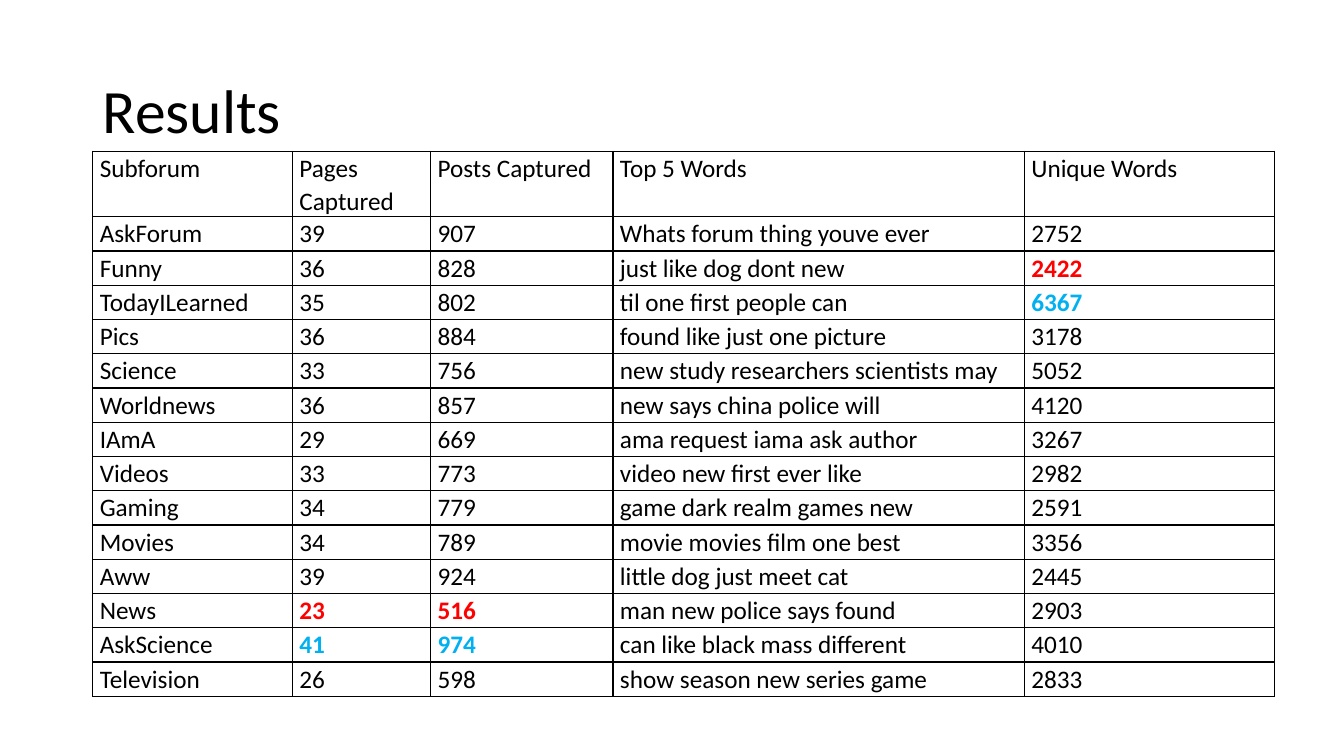
from lxml.etree import SubElement as add_node
from pptx import Presentation
from pptx.dml.color import RGBColor
from pptx.enum.text import MSO_ANCHOR as Anchor
from pptx.oxml.ns import qn
from pptx.util import Inches, Pt

BLACK = RGBColor(0x00, 0x00, 0x00)
RED = RGBColor(0xFF, 0x00, 0x00)
BLUE = RGBColor(0x00, 0xB0, 0xF0)

HEADINGS = ("Subforum", "Pages Captured", "Posts Captured", "Top 5 Words", "Unique Words")
RESULTS = (
    ("AskForum", 39, 907, "Whats forum thing youve ever", 2752),
    ("Funny", 36, 828, "just like dog dont new", 2422),
    ("TodayILearned", 35, 802, "til one first people can", 6367),
    ("Pics", 36, 884, "found like just one picture", 3178),
    ("Science", 33, 756, "new study researchers scientists may", 5052),
    ("Worldnews", 36, 857, "new says china police will", 4120),
    ("IAmA", 29, 669, "ama request iama ask author", 3267),
    ("Videos", 33, 773, "video new first ever like", 2982),
    ("Gaming", 34, 779, "game dark realm games new", 2591),
    ("Movies", 34, 789, "movie movies film one best", 3356),
    ("Aww", 39, 924, "little dog just meet cat", 2445),
    ("News", 23, 516, "man new police says found", 2903),
    ("AskScience", 41, 974, "can like black mass different", 4010),
    ("Television", 26, 598, "show season new series game", 2833),
)
COLUMN_WIDTHS = (1.98, 1.37, 1.81, 4.08, 2.48)
HEADER_HEIGHT, ROW_HEIGHT = 0.65, 0.34


class SlideBuilder:
    """Hold the text style and the current slide, and add elements to it."""

    font_name = "Calibri"
    border_width = Pt(1)
    cell_format = {
        "margin_left": Inches(0.07), "margin_right": Inches(0.07),
        "margin_top": 0, "margin_bottom": 0, "vertical_anchor": Anchor.TOP,
    }
    title_format = {"word_wrap": True, "vertical_anchor": Anchor.MIDDLE}
    table_format = {"first_row": False, "horz_banding": False}

    def __init__(self, page):
        self.page = page

    def apply(self, target, values):
        for name, value in values.items():
            setattr(target, name, value)

    def text(self, frame, wording, size, spacing, color=BLACK, bold=False):
        para = frame.paragraphs[0]
        para.line_spacing = spacing
        span = para.add_run()
        span.text = wording
        self.apply(span.font, {"name": self.font_name, "size": Pt(size), "bold": bold})
        span.font.color.rgb = color

    def title(self, wording, left, top, width, height):
        box = self.page.shapes.add_textbox(*map(Inches, (left, top, width, height)))
        self.apply(box.text_frame, self.title_format)
        self.text(box.text_frame, wording, 44, 0.9)

    def border(self, cell):
        properties = cell._tc.get_or_add_tcPr()
        for side in ("a:lnL", "a:lnR", "a:lnT", "a:lnB"):
            line = add_node(properties, qn(side), w=str(self.border_width))
            fill = add_node(line, qn("a:solidFill"))
            add_node(fill, qn("a:srgbClr"), val=str(BLACK))

    def cell(self, cell, wording, color):
        self.apply(cell, self.cell_format)
        self.border(cell)
        cell.fill.background()
        self.text(cell.text_frame, wording, 18, 1.07, color, color != BLACK)

    def table(self, headings, records, left, top):
        heights = [HEADER_HEIGHT] + [ROW_HEIGHT] * len(records)
        place = (left, top, sum(COLUMN_WIDTHS), sum(heights))
        grid = self.page.shapes.add_table(
            len(heights), len(headings), *map(Inches, place)).table
        self.apply(grid, self.table_format)
        for row, height in zip(grid.rows, heights):
            row.height = Inches(height)
        for index, (heading, values) in enumerate(zip(headings, zip(*records))):
            grid.columns[index].width = Inches(COLUMN_WIDTHS[index])
            marks = {}
            if isinstance(values[0], int):
                marks = {min(values): RED, max(values): BLUE}
            for row, value in enumerate((heading, *values)):
                self.cell(grid.cell(row, index), str(value), marks.get(value, BLACK))


def main():
    deck = Presentation()
    deck.slide_width, deck.slide_height = Inches(13.33), Inches(7.5)
    builder = SlideBuilder(deck.slides.add_slide(deck.slide_layouts[6]))
    builder.title("Results", 0.92, 0.4, 11.5, 1.45)
    builder.table(HEADINGS, RESULTS, 0.92, 1.5)
    deck.save("out.pptx")


if __name__ == "__main__":
    main()
